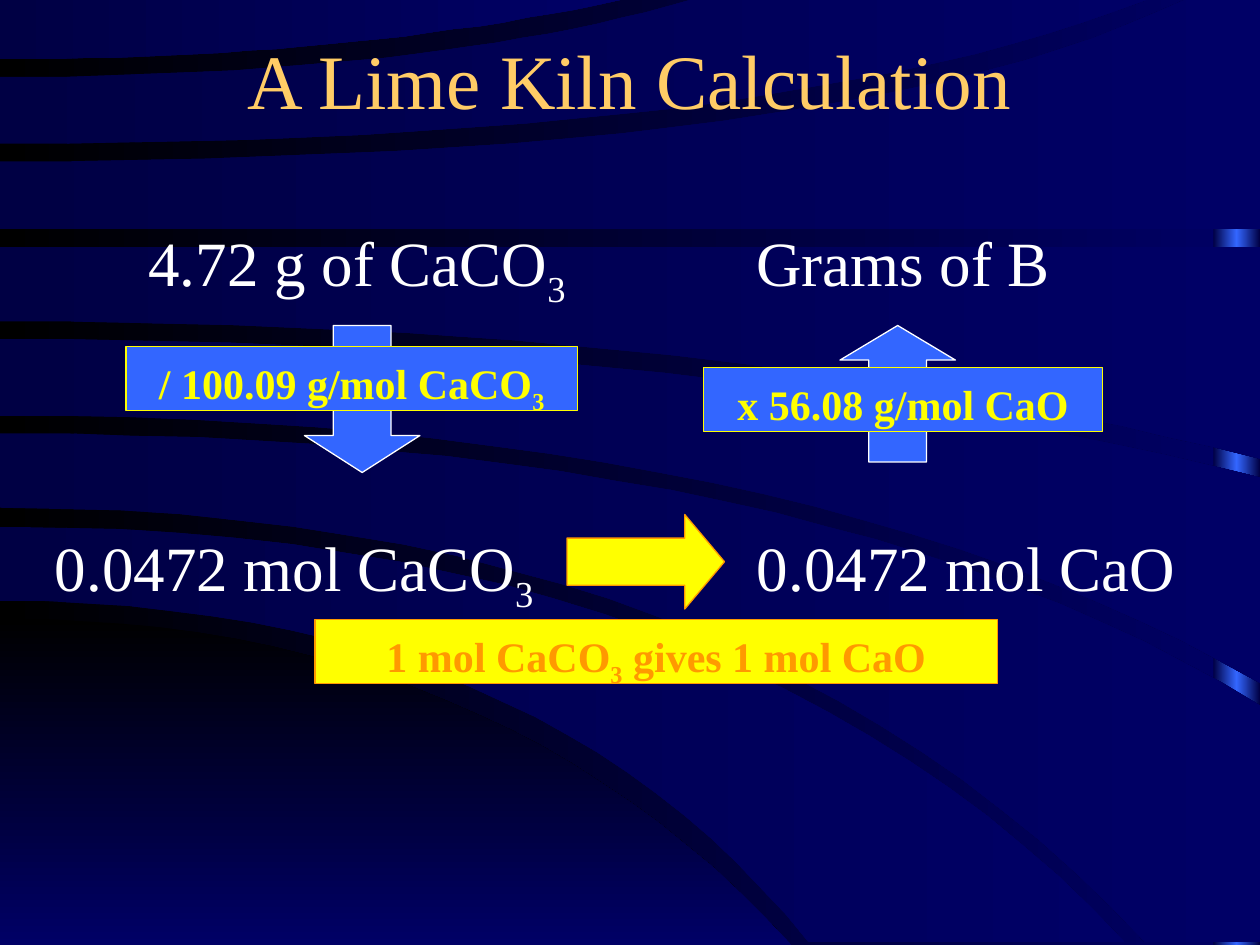
import copy

import pptx
import pptx.dml.color
import pptx.enum.shapes
import pptx.enum.text
import pptx.oxml.ns
import pptx.util

COLORS = {
    "black": "000000", "night": "000044", "navy": "000066", "blue": "3366FF",
    "yellow": "FFFF00", "orange": "FF9900", "gold": "FFCC66", "white": "FFFFFF",
}
RGB = {name: pptx.dml.color.RGBColor.from_string(code) for name, code in COLORS.items()}
SHAPE = pptx.enum.shapes.MSO_SHAPE
ANCHOR = pptx.enum.text.MSO_ANCHOR
CENTER = pptx.enum.text.PP_ALIGN.CENTER

presentation = pptx.Presentation()
presentation.slide_width = pptx.util.Inches(10)
presentation.slide_height = pptx.util.Inches(7.5)
slide = presentation.slides.add_slide(presentation.slide_layouts[6])
CELL = presentation.slide_width / 120  # the grid has 120 columns and 90 rows
HUNDREDTH = presentation.slide_width / 1000  # unit of the curved bands
CURVE_STEPS = 24


def paint_gradient(fill, first, last, angle=0):
    fill.gradient()
    fill.gradient_angle = angle
    for stop, color in zip(fill.gradient_stops, (first, last)):
        stop.color.rgb = RGB[color]


def write_text(shape, text, size, color, bold=False, top=0.05, anchor=ANCHOR.TOP):
    """Centre one paragraph in the shape; parts between underscores are subscripts."""
    frame = shape.text_frame
    frame_format = {"word_wrap": True, "vertical_anchor": anchor,
                    "margin_top": pptx.util.Inches(top)}
    for name, value in frame_format.items():
        setattr(frame, name, value)
    paragraph = frame.paragraphs[0]
    paragraph.alignment = CENTER
    font_format = {"name": "Times New Roman", "size": pptx.util.Pt(size), "bold": bold}
    for index, part in enumerate(text.split("_")):
        if not part:
            continue
        run = paragraph.add_run()
        run.text = part
        for name, value in font_format.items():
            setattr(run.font, name, value)
        run.font.color.rgb = RGB[color]
        if index % 2:
            run.font._element.set("baseline", "-25000")


# Background and the bright strip at the right edge
paint_gradient(slide.background.fill, "black", "navy")
strip = slide.shapes.add_shape(
    SHAPE.RECTANGLE, *(round(n * HUNDREDTH) for n in (963, 0, 37, 750)))
strip.shadow.inherit = False
strip.line.fill.background()
paint_gradient(strip.fill, "night", "blue")
stops = strip.element.find(".//" + pptx.oxml.ns.qn("a:gsLst"))
stops[1].set("pos", "50000")
stops.append(copy.deepcopy(stops[0]))
stops[2].set("pos", "100000")

# Curved bands. Each edge leaves the left side level at its start height, bends
# at a control column and ends at a point: (start y, control x, end x, end y)
bands = [
    ((491, 393, 628, 750), (750, 314, 628, 750)),
    ((418, 585, 893, 748), (477, 425, 642, 748)),
    ((344, 650, 1000, 560), (403, 588, 909, 748)),
    ((269, 554, 1000, 379), (330, 630, 1000, 542)),
    ((196, 500, 1000, 196), (255, 570, 1000, 364)),
    ((128, 678, 940, 0), (182, 500, 1000, 182)),
    ((61, 338, 548, 0), (114, 616, 910, 0)),
    ((0, 246, 492, 0), (47, 274, 492, 0)),
]
for index, band_edges in enumerate(bands):
    edges = []
    for start_y, control_x, end_x, end_y in band_edges:
        shares = [step / CURVE_STEPS for step in range(CURVE_STEPS + 1)]
        edges.append([(2 * t * (1 - t) * control_x + t * t * end_x,
                       start_y + t * t * (end_y - start_y)) for t in shares])
    upper, lower = edges
    near_end, far_end = sorted((upper[-1], lower[-1]))
    corner = (far_end[0], near_end[1])
    builder = slide.shapes.build_freeform(*upper[0], scale=HUNDREDTH)
    builder.add_line_segments(upper[1:] + [corner] + lower[::-1], close=True)
    band = builder.convert_to_shape()
    band.shadow.inherit = False
    band.line.fill.background()
    if index == 0:
        paint_gradient(band.fill, "black", "navy", 270)
    else:
        paint_gradient(band.fill, "night", "navy")

# Title and the four quantities: column, row, width in grid cells
title = slide.shapes.add_textbox(*(round(n * CELL) for n in (9, 0, 102, 15)))
write_text(title, "A Lime Kiln Calculation", 44, "gold", anchor=ANCHOR.MIDDLE)
quantities = [
    ("4.72 g of CaCO_3_", 12, 20, 44),
    ("Grams of B", 64, 20, 44),
    ("0.0472 mol CaCO_3_", 0, 49, 56),
    ("0.0472 mol CaO", 67, 49, 50),
]
for text, column, row, width in quantities:
    box = slide.shapes.add_textbox(*(round(n * CELL) for n in (column, row, width, 8.4)))
    write_text(box, text, 36, "white", top=0.11)

# Arrows between the quantities, then the conversion factors over them
steps = [
    (SHAPE.DOWN_ARROW, (29, 31, 11, 14), "blue", "white", 0.32, ""),
    (SHAPE.RIGHT_ARROW, (54, 49, 15, 9), "yellow", "orange", 0.42, ""),
    (SHAPE.UP_ARROW, (80, 31, 11, 13), "blue", "white", 0.3, ""),
    (SHAPE.RECTANGLE, (30, 59, 65, 6.1), "yellow", "orange", None,
     "1 mol CaCO_3_ gives 1 mol CaO"),
    (SHAPE.RECTANGLE, (67, 35, 38, 6.1), "blue", "yellow", None, "x 56.08 g/mol CaO"),
    (SHAPE.RECTANGLE, (12, 33, 43, 6.1), "blue", "yellow", None, "/ 100.09 g/mol CaCO_3_"),
]
for kind, place, fill, accent, head_length, text in steps:
    shape = slide.shapes.add_shape(kind, *(round(n * CELL) for n in place))
    shape.shadow.inherit = False
    shape.fill.solid()
    shape.fill.fore_color.rgb = RGB[fill]
    shape.line.color.rgb = RGB[accent]
    shape.line.width = pptx.util.Pt(0.75)
    if head_length:
        shape.adjustments[1] = head_length
    if text:
        write_text(shape, text, 24, accent, bold=True, top=0.09)

presentation.save("out.pptx")
